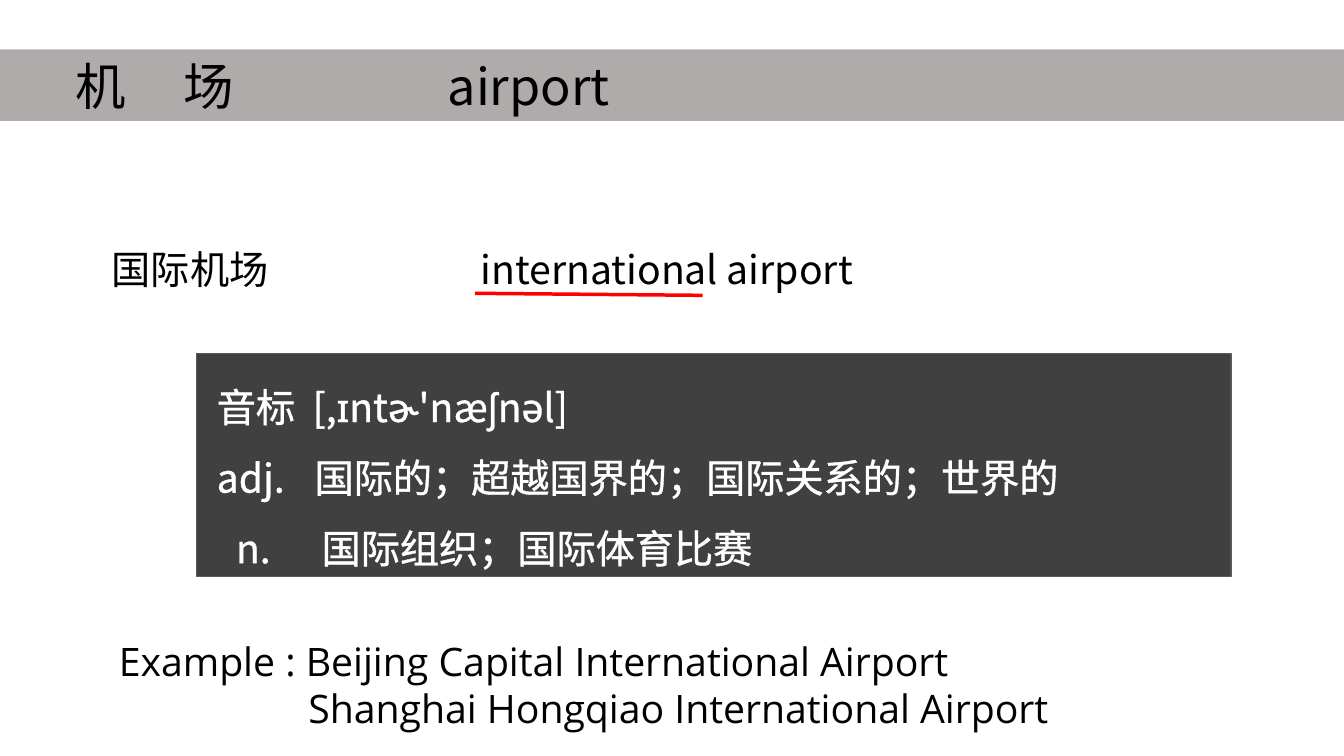
from lxml import etree
from pptx import Presentation
from pptx.dml.color import RGBColor
from pptx.enum.shapes import MSO_CONNECTOR, MSO_SHAPE
from pptx.enum.text import MSO_ANCHOR, MSO_AUTO_SIZE, PP_ALIGN
from pptx.oxml.ns import qn
from pptx.util import Inches, Pt

LEFT = PP_ALIGN.LEFT
TOP = MSO_ANCHOR.TOP
MIDDLE = MSO_ANCHOR.MIDDLE
NO_AUTOFIT = MSO_AUTO_SIZE.NONE
RECTANGLE = MSO_SHAPE.RECTANGLE
STRAIGHT = MSO_CONNECTOR.STRAIGHT

COLORS = {
    "band": "AFABAB",
    "panel": "404040",
    "panel_edge": "595959",
    "ink": "000000",
    "light": "FFFFFF",
    "underline": "FF0000",
}
SANS = "Open Sans"
CJK = "Noto Sans CJK TC"


def color(name):
    return RGBColor.from_string(COLORS[name])


def prepare_frame(frame, anchor, left_inset=0.1):
    frame.word_wrap = True
    frame.auto_size = NO_AUTOFIT
    frame.vertical_anchor = anchor
    frame.margin_left = Inches(left_inset)
    frame.margin_right = Inches(0.1)
    frame.margin_top = frame.margin_bottom = Inches(0.05)


def add_tab_stops(paragraph, stops):
    tab_list = etree.SubElement(paragraph._p.get_or_add_pPr(), qn("a:tabLst"))
    for stop in stops:
        etree.SubElement(tab_list, qn("a:tab"), pos=str(Inches(stop)), algn="l")


def outline_run(run, color_name, points):
    properties = run.font._element
    line = etree.Element(qn("a:ln"), w=str(Pt(points)))
    fill = etree.SubElement(line, qn("a:solidFill"))
    etree.SubElement(fill, qn("a:srgbClr"), val=COLORS[color_name])
    properties.insert(0, line)


def write_line(paragraph, pieces, size, color_name, stops=()):
    if stops:
        add_tab_stops(paragraph, stops)
    paragraph.alignment = LEFT
    for text, font_name in pieces:
        run = paragraph.add_run()
        run.text = text
        run.font.size = Pt(size)
        run.font.color.rgb = color(color_name)
        run.font.name = font_name
        etree.SubElement(run.font._element, qn("a:ea"), typeface=font_name)


def add_heading(slide):
    heading = slide.shapes.title
    heading.left, heading.top = Inches(0), Inches(0.49)
    heading.width, heading.height = Inches(13.33), Inches(0.71)
    heading.fill.solid()
    heading.fill.fore_color.rgb = color("band")
    prepare_frame(heading.text_frame, MIDDLE, 0.75)
    pieces = [("机\t场\t", SANS), ("airport", CJK)]
    write_line(heading.text_frame.paragraphs[0], pieces, 36, "ink", (1.07, 3.69))


def add_text(slide, left, top, width, height, lines, font_name, stops=()):
    box = slide.shapes.add_textbox(
        Inches(left), Inches(top), Inches(width), Inches(height))
    frame = box.text_frame
    prepare_frame(frame, TOP)
    frame.text = "\n".join([""] * len(lines))
    for paragraph, line in zip(frame.paragraphs, lines):
        write_line(paragraph, [(line, font_name)], 28, "ink", stops)


def add_definition(slide, entries):
    panel = slide.shapes.add_shape(
        RECTANGLE, Inches(1.95), Inches(3.51), Inches(10.26), Inches(2.21))
    panel.shadow.inherit = False
    panel.fill.solid()
    panel.fill.fore_color.rgb = color("panel")
    panel.line.color.rgb = color("panel_edge")
    panel.line.width = Pt(1)
    frame = panel.text_frame
    prepare_frame(frame, MIDDLE, 0.2)
    frame.text = "\n".join([""] * len(entries))
    for paragraph, (pieces, stops) in zip(frame.paragraphs, entries):
        write_line(paragraph, pieces, 28, "light", stops)
        paragraph.line_spacing = 1.5
        for run in paragraph.runs:
            outline_run(run, "light", 0.75)


def add_underline(slide, left, right, top, bottom):
    underline = slide.shapes.add_connector(
        STRAIGHT, Inches(left), Inches(top), Inches(right), Inches(bottom))
    underline.line.color.rgb = color("underline")
    underline.line.width = Pt(2.5)
    etree.SubElement(underline._element.spPr, qn("a:effectLst"))


def main():
    deck = Presentation()
    deck.slide_width, deck.slide_height = Inches(13.33), Inches(7.5)
    slide = deck.slides.add_slide(deck.slide_layouts[5])

    add_heading(slide)
    add_text(slide, 1.01, 2.38, 1.89, 0.57, ["国际机场"], SANS)
    add_text(slide, 4.67, 2.38, 4.66, 0.57, ["international airport"], CJK)
    add_definition(slide, [
        ([("音标\t", SANS), ("[,ɪntɚ'næʃnəl]", CJK)], (0.95,)),
        ([("adj.\t", CJK), ("国际的；超越国界的；国际关系的；世界的", SANS)], (0.97,)),
        ([("\tn.\t", CJK), ("国际组织；国际体育比赛", SANS)], (0.19, 1.04)),
    ])
    add_text(slide, 1.08, 6.27, 11.78, 1.04, [
        "Example : Beijing Capital International Airport",
        "\tShanghai Hongqiao International Airport",
    ], SANS, (1.88,))
    add_underline(slide, 4.71, 6.97, 2.91, 2.93)

    deck.save("out.pptx")


if __name__ == "__main__":
    main()
